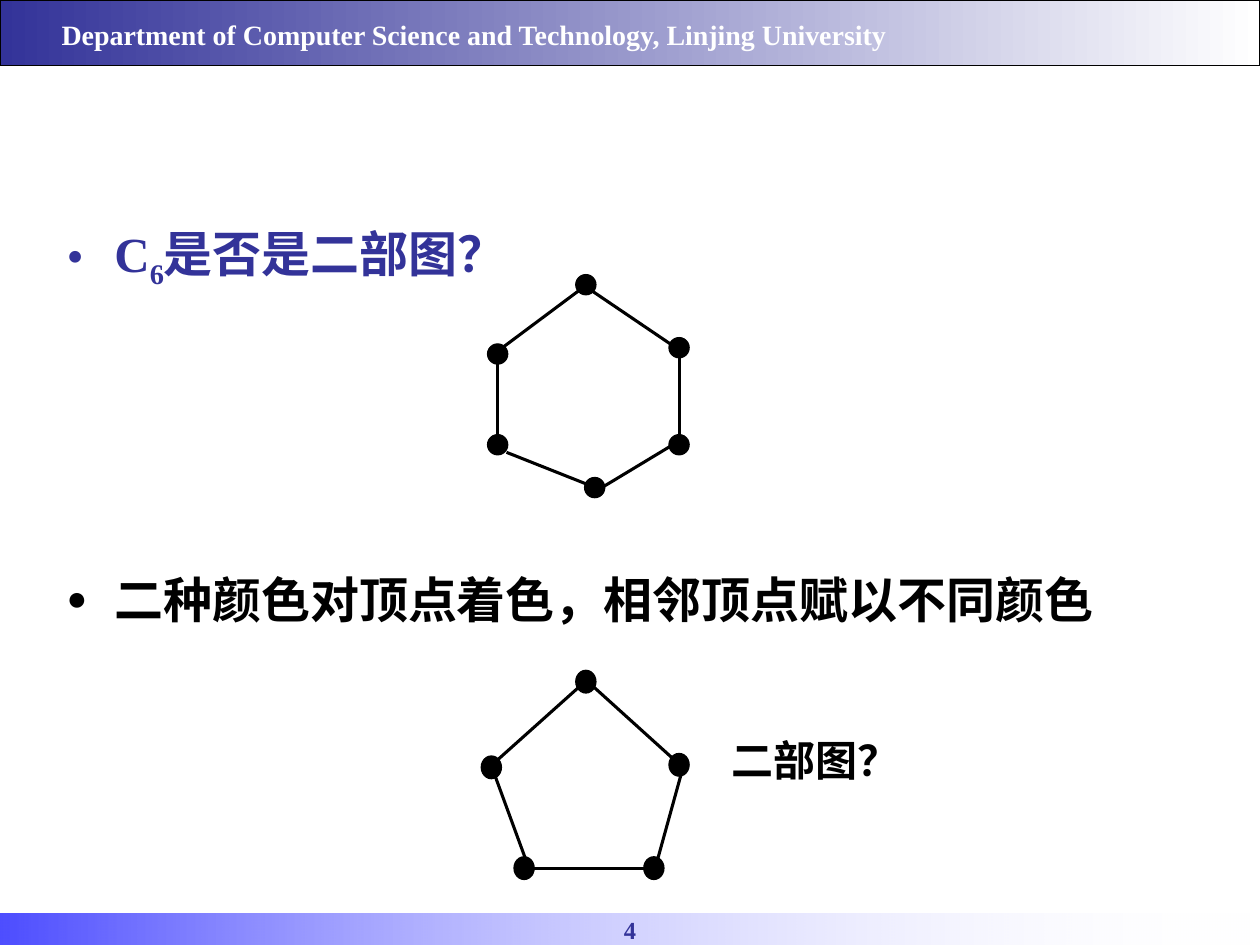
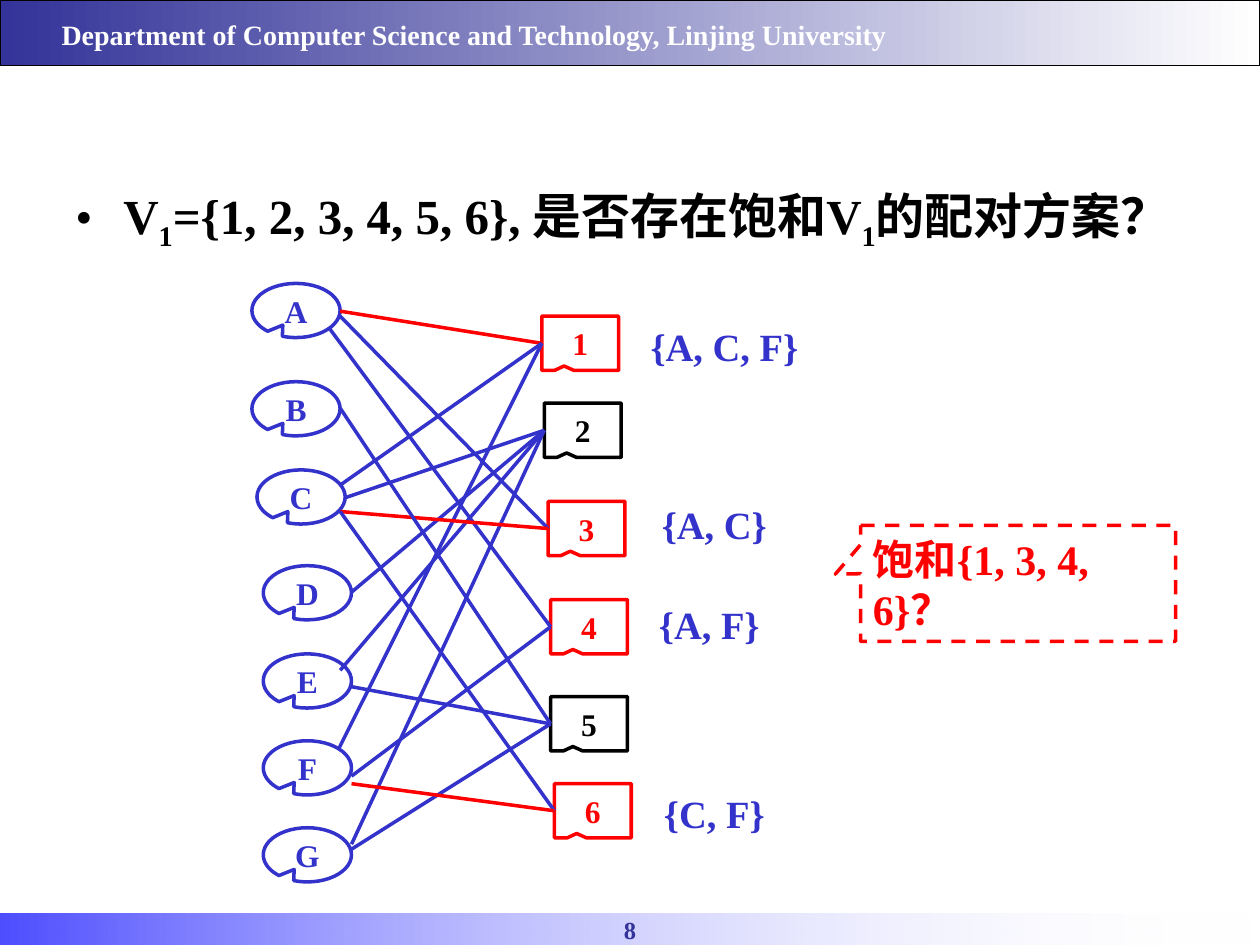
from dataclasses import dataclass
from typing import NamedTuple, Optional

from lxml.etree import SubElement
from pptx import Presentation
from pptx.dml.color import RGBColor
from pptx.enum.dml import MSO_LINE
from pptx.enum.shapes import MSO_CONNECTOR, MSO_SHAPE
from pptx.enum.text import MSO_ANCHOR, PP_ALIGN
from pptx.oxml.ns import qn
from pptx.util import Inches, Pt

# Shared style; the grid has 100 columns and 75 rows
WIDTH, HEIGHT = Inches(10), Inches(7.5)
COL, ROW = WIDTH / 100, HEIGHT / 75
FONT = "Times New Roman"
COLORS = {"navy": "333399", "blue": "0000FF", "edge": "3333CC",
          "red": "FF0000", "black": "000000", "white": "FFFFFF"}
HEADER = "Department of Computer Science and Technology, Linjing University"


class Box(NamedTuple):
    x: float
    y: float
    w: float
    h: float

    def emu(self) -> list:
        return [round(v * u) for v, u in zip(self, (COL, ROW, COL, ROW))]


class Edge(NamedTuple):
    x1: float
    y1: float
    x2: float
    y2: float


class Link(NamedTuple):
    x: float
    y: float
    task: str
    color: str = "edge"


@dataclass
class Style:
    size: float
    color: str = "black"
    align: Optional[PP_ALIGN] = None
    spacing: Optional[float] = None


@dataclass
class Callout:
    kind: MSO_SHAPE
    box: Box
    adj: tuple
    text: str
    style: Style
    line: Optional[str] = None
    fill: Optional[str] = None
    dash: Optional[MSO_LINE] = None


def rgb(name: str) -> RGBColor:
    return RGBColor.from_string(COLORS[name])


def write(tf, parts: list, style: Style):
    """Fill one paragraph; every second part is a subscript."""
    tf.word_wrap = True
    p = tf.paragraphs[0]
    p.alignment = style.align
    p.line_spacing = style.spacing
    for i, part in enumerate(parts):
        r = p.add_run()
        r.text = part
        r.font.name, r.font.size, r.font.bold = FONT, Pt(style.size), True
        r.font.color.rgb = rgb(style.color)
        if i % 2:
            r.font._element.set("baseline", "-25000")
    return p


def add_text(s, box: Box, parts: list, style: Style):
    return write(s.shapes.add_textbox(*box.emu()).text_frame, parts, style)


def add_bullet(s, box: Box, parts: list, style: Style,
               char: str = "•", percent: int = 100) -> None:
    pPr = add_text(s, box, parts, style)._p.get_or_add_pPr()
    pPr.set("marL", str(Inches(0.38)))
    pPr.set("indent", str(-Inches(0.38)))
    SubElement(pPr, qn("a:buSzPct")).set("val", str(percent * 1000))
    SubElement(pPr, qn("a:buFont")).set("typeface", FONT)
    SubElement(pPr, qn("a:buChar")).set("char", char)


def add_shape(s, kind: MSO_SHAPE, box: Box, fill: Optional[str] = None,
              line: Optional[str] = None, width: float = 0.75):
    sp = s.shapes.add_shape(kind, *box.emu())
    sp.shadow.inherit = False
    if fill:
        sp.fill.solid()
        sp.fill.fore_color.rgb = rgb(fill)
    else:
        sp.fill.background()
    if line:
        sp.line.color.rgb = rgb(line)
        sp.line.width = Pt(width)
    else:
        sp.line.fill.background()
    return sp


def add_band(s, box: Box, start: str, line: Optional[str] = None,
             alphas: tuple = ()) -> None:
    sp = add_shape(s, MSO_SHAPE.RECTANGLE, box, line=line)
    sp.fill.gradient()
    sp.fill.gradient_angle = 0
    for stop, color in zip(sp.fill.gradient_stops, (start, "white")):
        stop.color.rgb = rgb(color)
    stops = sp._element.spPr.find(qn("a:gradFill")).iter(qn("a:srgbClr"))
    for clr, alpha in zip(stops, alphas):
        SubElement(clr, qn("a:alpha")).set("val", str(alpha * 1000))


def add_edge(s, edge: Edge, color: str = "black", width: float = 1.75):
    ends = [round(v * u) for v, u in zip(edge, (COL, ROW, COL, ROW))]
    cx = s.shapes.add_connector(MSO_CONNECTOR.STRAIGHT, *ends)
    cx.line.color.rgb = rgb(color)
    cx.line.width = Pt(width)
    SubElement(cx._element.spPr, qn("a:effectLst"))
    return cx


def add_callout(s, c: Callout):
    sp = add_shape(s, c.kind, c.box, c.fill, c.line, 2)
    for i, value in enumerate(c.adj):
        sp.adjustments[i] = value
    if c.dash:
        sp.line.dash_style = c.dash
    sp.text_frame.vertical_anchor = MSO_ANCHOR.MIDDLE
    write(sp.text_frame, [c.text], c.style)
    return sp


def new_slide(prs, number: int):
    """Blank slide with the header band, footer band and number."""
    s = prs.slides.add_slide(prs.slide_layouts[6])
    add_band(s, Box(0, 0, 100, 5.2), "navy", line="black")
    add_band(s, Box(0, 72.5, 100, 2.5), "blue", alphas=(70, 0))
    add_text(s, Box(0, 72.1, 100, 3.3), [str(number)],
             Style(14, "navy", PP_ALIGN.CENTER))
    add_text(s, Box(3.9, 1.2, 70.8, 6.7), [HEADER],
             Style(16, "white", PP_ALIGN.JUSTIFY, 0.9))
    return s


# Cycle graphs: top-left corners of the vertices, then the edges
HEXAGON = [(45.7, 21.8), (38.7, 27.3), (46.4, 37.9),
           (38.7, 34.5), (53.1, 26.8), (53.1, 34.5)]
HEXAGON_EDGES = [Edge(40.2, 35.9, 46.5, 38.4), Edge(40, 27.5, 45.9, 23.1),
                 Edge(47, 23.1, 53.5, 27.5), Edge(39.5, 28.2, 39.5, 34.5),
                 Edge(53.9, 28.2, 53.9, 34.5), Edge(47.6, 38.8, 54.4, 34.7)]
PENTAGON = [(53.1, 59.8), (45.7, 53.2), (38.2, 60), (40.8, 68), (51.1, 68)]
PENTAGON_EDGES = [Edge(42.4, 68.9, 51.1, 68.9), Edge(39.5, 60.3, 47.1, 53.5),
                  Edge(47.1, 54.5, 53.4, 60.2), Edge(52, 68.9, 54.1, 61.3),
                  Edge(39.3, 61.6, 42.2, 69.5)]


def add_graph(s, vertices: list, edges: list, height: float) -> None:
    for x, y in vertices:
        add_shape(s, MSO_SHAPE.FLOWCHART_CONNECTOR, Box(x, y, 1.6, height),
                  "black", "black")
    for edge in edges:
        add_edge(s, edge)


def bipartite_test(prs) -> None:
    s = new_slide(prs, 4)
    add_bullet(s, Box(4.3, 16.2, 92.9, 7.1), ["C", "6", "是否是二部图？"],
               Style(28, "navy", PP_ALIGN.JUSTIFY, 1.2))
    add_graph(s, HEXAGON, HEXAGON_EDGES, 1.6)
    add_bullet(s, Box(4.3, 43.8, 92.9, 7.9),
               ["二种颜色对顶点着色，相邻顶点赋以不同颜色"],
               Style(28, "black", PP_ALIGN.JUSTIFY, 1.2), "●", 70)
    add_graph(s, PENTAGON, PENTAGON_EDGES, 1.8)
    add_text(s, Box(57.1, 57.8, 16.5, 5.8), ["二部图？"],
             Style(24, "black", PP_ALIGN.JUSTIFY))


# Matching: people on the left, tasks on the right
PEOPLE = {"A": (20, 22.5), "B": (20, 30.3), "C": (20.4, 37.3),
          "D": (20.9, 44.9), "E": (20.9, 51.9), "F": (20.9, 58.8),
          "G": (20.9, 65.7)}
TASKS = {"1": (43, 25.1, "red"), "2": (43.2, 32, "black"),
         "3": (43.5, 39.8, "red"), "4": (43.7, 47.6, "red"),
         "5": (43.7, 55.3, "black"), "6": (44, 62.2, "red")}
LINKS = [Link(27, 24.7, "1", "red"), Link(27, 38.5, "1"),
         Link(26.9, 59.4, "1"), Link(27.4, 39.5, "2"), Link(27.9, 47, "2"),
         Link(27.9, 54.5, "5"), Link(27.9, 67, "2"), Link(27, 25.1, "3"),
         Link(27, 53.2, "2"), Link(26.1, 26, "4"),
         Link(27, 40.6, "3", "red"), Link(27.9, 61.6, "4"),
         Link(27.9, 67.4, "5"), Link(27, 32.4, "5"), Link(27, 40.6, "6"),
         Link(27.9, 62.2, "6", "red")]
CANDIDATES = {"{A, C, F}": (24.9, 15), "{A, C}": (39, 13.4),
              "{A, F}": (46.9, 12.6), "{C, F}": (61.9, 13.4)}


def matching_example(prs) -> None:
    s = new_slide(prs, 8)
    add_bullet(s, Box(5, 14.2, 92.5, 7.5),
               ["V", "1", "={1, 2, 3, 4, 5, 6}, 是否存在饱和V", "1",
                "的配对方案？"], Style(28))
    center = PP_ALIGN.CENTER
    for name, (x, y) in PEOPLE.items():
        add_callout(s, Callout(MSO_SHAPE.OVAL_CALLOUT, Box(x, y, 7, 4.3),
                               (-0.15, 0.27), name,
                               Style(18, "edge", center), "edge"))
    tasks = {}
    for name, (x, y, color) in TASKS.items():
        tasks[name] = add_callout(s, Callout(
            MSO_SHAPE.RECTANGULAR_CALLOUT, Box(x, y, 6.1, 4.3), (-0.21, 0.42),
            name, Style(18, color, center), color, "white"))
    for link in LINKS:
        x, y, _ = TASKS[link.task]
        cx = add_edge(s, Edge(link.x, link.y, x, y + 2.15), link.color, 2)
        cx.end_connect(tasks[link.task], 1)
    for text, (y, w) in CANDIDATES.items():
        add_callout(s, Callout(MSO_SHAPE.ROUNDED_RECTANGULAR_CALLOUT,
                               Box(50, y, w, 5.2), (-0.19, 0.42, 0.17), text,
                               Style(22, "edge", center)))
    # Question about the saturated subset
    add_callout(s, Callout(MSO_SHAPE.RECTANGULAR_CALLOUT,
                           Box(68.3, 41.7, 25, 9.2), (-0.58, -0.08),
                           "饱和{1, 3, 4, 6}？",
                           Style(24, "red", PP_ALIGN.LEFT), "red",
                           dash=MSO_LINE.DASH))


def main() -> None:
    prs = Presentation()
    prs.slide_width, prs.slide_height = WIDTH, HEIGHT
    bipartite_test(prs)
    matching_example(prs)
    prs.save("out.pptx")


if __name__ == "__main__":
    main()
